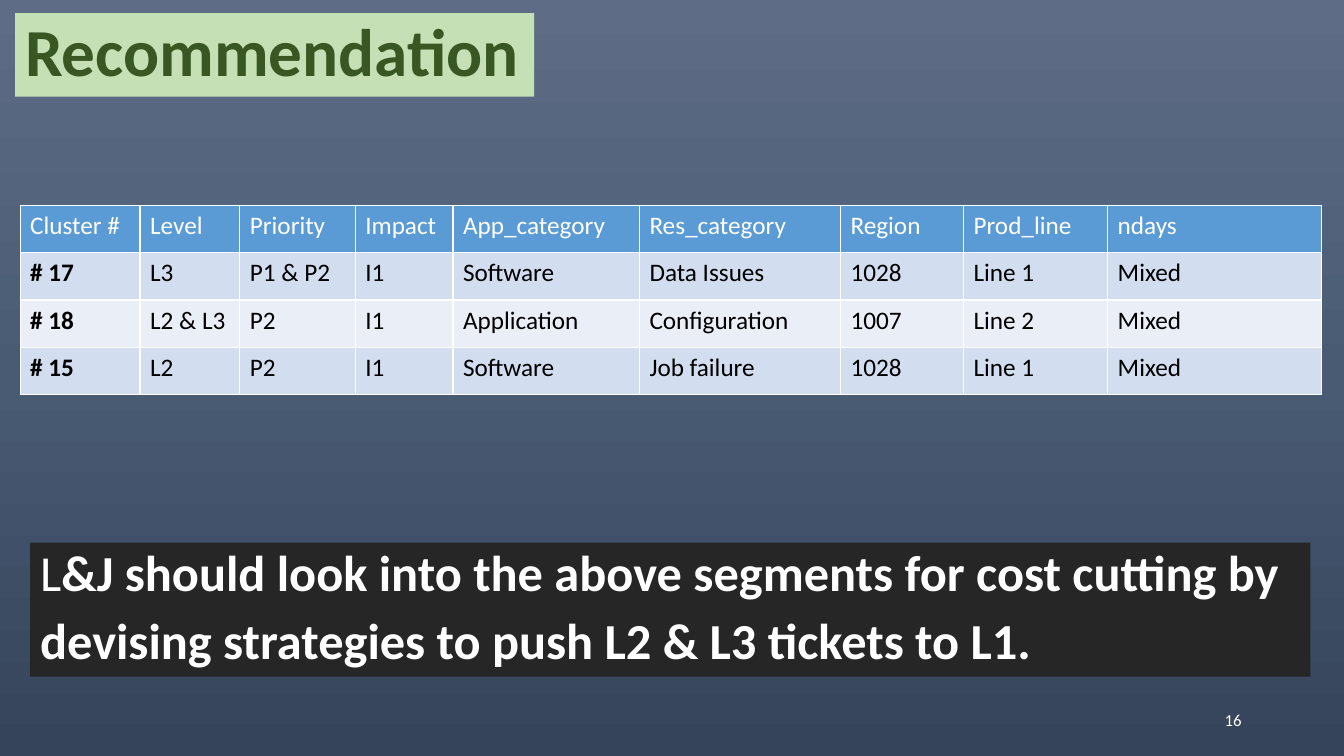
"""Build the recommendation slide: ticket clusters and the advice drawn from them."""
import copy
from dataclasses import dataclass

import lxml.etree
import pptx
import pptx.dml.color
import pptx.enum.text
import pptx.oxml.ns
import pptx.slide
import pptx.table
import pptx.text.text
import pptx.util

RGB = pptx.dml.color.RGBColor
ALIGN = pptx.enum.text.PP_ALIGN
ANCHOR = pptx.enum.text.MSO_ANCHOR
qn = pptx.oxml.ns.qn

WHITE = RGB(0xFF, 0xFF, 0xFF)
BLACK = RGB(0x00, 0x00, 0x00)
DARK_GREEN = RGB(0x38, 0x57, 0x23)
PALE_GREEN = RGB(0xC5, 0xE0, 0xB4)
CHARCOAL = RGB(0x26, 0x26, 0x26)
HEADER_BLUE = RGB(0x5B, 0x9B, 0xD5)
BANDS = (RGB(0xD2, 0xDE, 0xEF), RGB(0xEA, 0xEF, 0xF7))
BACKDROP = (RGB(0x5E, 0x6D, 0x85), RGB(0x49, 0x5A, 0x73), RGB(0x35, 0x44, 0x5A))

FONT = "Calibri"
SLIDE_W, SLIDE_H = pptx.util.Inches(13.33), pptx.util.Inches(7.5)
GRID_COLS, GRID_ROWS = 160, 90

TABLE_COL, TABLE_ROW, ROW_HEIGHT = 2.4, 24.45, 5.64
COLUMN_WIDTHS = (14.28, 11.88, 13.74, 11.64, 22.2, 23.94, 14.64, 17.16, 25.44)
CLUSTERS = (
    ("Cluster #", "Level", "Priority", "Impact", "App_category",
     "Res_category", "Region", "Prod_line", "ndays"),
    ("# 17", "L3", "P1 & P2", "I1", "Software", "Data Issues", "1028", "Line 1", "Mixed"),
    ("# 18", "L2 & L3", "P2", "I1", "Application", "Configuration", "1007", "Line 2", "Mixed"),
    ("# 15", "L2", "P2", "I1", "Software", "Job failure", "1028", "Line 1", "Mixed"),
)


@dataclass(frozen=True)
class Run:
    text: str
    bold: bool = False


@dataclass(frozen=True)
class Panel:
    col: float
    row: float
    cols: float
    rows: float
    paragraphs: tuple[tuple[Run, ...], ...]
    size: int
    color: RGB = WHITE
    fill: RGB | None = None
    align: ALIGN = ALIGN.LEFT
    anchor: ANCHOR = ANCHOR.MIDDLE
    wrap: bool = True


PANELS = (
    Panel(1.8, 1.56, 61.8, 9.96, ((Run("Recommendation", True),),), 48,
          DARK_GREEN, PALE_GREEN, wrap=False),
    Panel(113, 83.4, 36, 4.8, ((Run("16"),),), 12, align=ALIGN.RIGHT),
    Panel(3.6, 64.6, 152.4, 15.96, (
        (Run("L"), Run("&J should look into the above segments for cost cutting by", True)),
        (Run("devising strategies to push L2 & L3 tickets to L1.", True),),
    ), 36, fill=CHARCOAL, anchor=ANCHOR.TOP),
)


def across(cols: float) -> int:
    return round(SLIDE_W * cols / GRID_COLS)


def down(rows: float) -> int:
    return round(SLIDE_H * rows / GRID_ROWS)


def add_run(p: pptx.text.text._Paragraph, run: Run, size: int, color: RGB) -> None:
    r = p.add_run()
    r.text = run.text
    r.font.name = FONT
    r.font.size = pptx.util.Pt(size)
    r.font.bold = run.bold
    r.font.color.rgb = color


def paint_background(s: pptx.slide.Slide) -> None:
    fill = s.background.fill
    fill.gradient()
    fill.gradient_angle = 270
    stop_list = s.element.find(".//" + qn("a:gsLst"))
    stop_list.insert(1, copy.deepcopy(stop_list[0]))
    for i, (stop, color) in enumerate(zip(fill.gradient_stops, BACKDROP)):
        stop.position = i / (len(BACKDROP) - 1)
        stop.color.rgb = color


def add_panel(s: pptx.slide.Slide, panel: Panel) -> None:
    sp = s.shapes.add_textbox(across(panel.col), down(panel.row),
                              across(panel.cols), down(panel.rows))
    if panel.fill is not None:
        sp.fill.solid()
        sp.fill.fore_color.rgb = panel.fill
    tf = sp.text_frame
    tf.word_wrap = panel.wrap
    tf.vertical_anchor = panel.anchor
    for i, runs in enumerate(panel.paragraphs):
        p = tf.add_paragraph() if i else tf.paragraphs[0]
        p.alignment = panel.align
        p.line_spacing = 0.9
        if i:
            p.space_before = pptx.util.Pt(10)
        for run in runs:
            add_run(p, run, panel.size, panel.color)


def add_borders(cell: pptx.table._Cell) -> None:
    properties = cell._tc.get_or_add_tcPr()
    for side in ("a:lnL", "a:lnR", "a:lnT", "a:lnB"):
        line = lxml.etree.SubElement(properties, qn(side), w=str(pptx.util.Pt(1)))
        solid = lxml.etree.SubElement(line, qn("a:solidFill"))
        lxml.etree.SubElement(solid, qn("a:srgbClr"), val=str(WHITE))


def add_cluster_table(s: pptx.slide.Slide) -> None:
    table = s.shapes.add_table(
        len(CLUSTERS), len(COLUMN_WIDTHS), across(TABLE_COL), down(TABLE_ROW),
        across(sum(COLUMN_WIDTHS)), down(ROW_HEIGHT * len(CLUSTERS))).table
    table.first_row = table.horz_banding = False
    for column, width in zip(table.columns, COLUMN_WIDTHS):
        column.width = across(width)
    for i, values in enumerate(CLUSTERS):
        table.rows[i].height = down(ROW_HEIGHT)
        for j, value in enumerate(values):
            cell = table.cell(i, j)
            add_borders(cell)
            cell.fill.solid()
            cell.fill.fore_color.rgb = BANDS[(i - 1) % 2] if i else HEADER_BLUE
            add_run(cell.text_frame.paragraphs[0], Run(value, i > 0 and j == 0),
                    18, BLACK if i else WHITE)


def main() -> None:
    prs = pptx.Presentation()
    prs.slide_width, prs.slide_height = SLIDE_W, SLIDE_H
    s = prs.slides.add_slide(prs.slide_layouts[6])
    paint_background(s)
    add_cluster_table(s)
    for panel in PANELS:
        add_panel(s, panel)
    prs.save("out.pptx")


if __name__ == "__main__":
    main()
